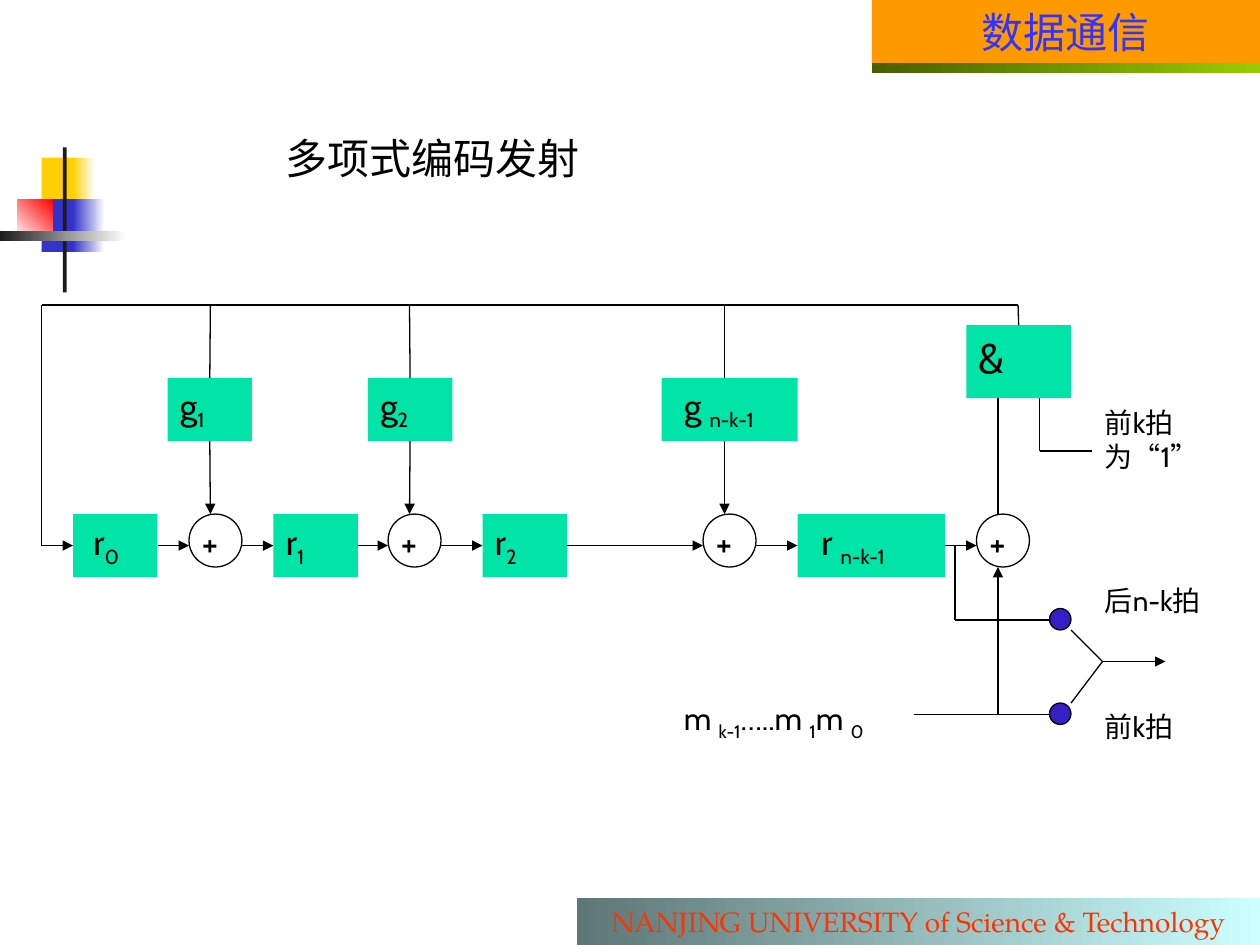
from lxml.etree import SubElement
from pptx import Presentation
from pptx.dml.color import RGBColor as RGB
from pptx.enum.shapes import MSO_CONNECTOR as CONN, MSO_SHAPE as SHAPE
from pptx.enum.text import MSO_ANCHOR as ANCHOR, PP_ALIGN as ALIGN
from pptx.oxml.ns import qn
from pptx.util import Inches, Pt

C = {
    "yellow": "FFCF01", "blue": "3333CC", "red": "FF0000", "dark": "1C1C1C",
    "white": "FFFFFF", "black": "000000", "orange": "FF9900", "title": "3333FF",
    "slate": "5E7676", "ice": "CCFFFF", "footer": "FF3300", "moss": "475E00",
    "lime": "99CC00", "green": "00E4A8", "dot": "3420C4",
}

prs = Presentation()
prs.slide_width, prs.slide_height = Inches(10), Inches(7.5)
s = prs.slides.add_slide(prs.slide_layouts[6])


def add_shape(kind, box, fill, end=None, angle=0, outline=False):
    sp = s.shapes.add_shape(kind, *map(Inches, box))
    sp.shadow.inherit = False
    if end:
        sp.fill.gradient()
        sp.fill.gradient_angle = angle
        for stop, name in zip(sp.fill.gradient_stops, (fill, end)):
            stop.color.rgb = RGB.from_string(C[name])
    else:
        sp.fill.solid()
        sp.fill.fore_color.rgb = RGB.from_string(C[fill])
    if outline:
        sp.line.color.rgb = RGB.from_string(C["black"])
        sp.line.width = Pt(0.75)
    else:
        sp.line.fill.background()
    return sp


def write(sp, runs, size, color="black", font="Cabin", align=ALIGN.LEFT, left=0.1, top=0.05):
    tf = sp.text_frame
    tf.word_wrap = True
    tf.vertical_anchor = ANCHOR.TOP
    tf.margin_left, tf.margin_top = Inches(left), Inches(top)
    tf.margin_right = tf.margin_bottom = 0 if top == 0 else Inches(0.05)
    if align == ALIGN.CENTER:
        tf.margin_right = Inches(left)
    p = tf.paragraphs[0]
    p.alignment = align
    p.font.size, p.font.name = Pt(size), font
    p.font.color.rgb = RGB.from_string(C[color])
    for i, text in enumerate(runs):
        r = p.add_run()
        r.text = text
        if i % 2:
            r.font._element.set("baseline", "-25000")


for box, fill, end, angle in [
    ((0.33, 1.25, 0.29, 0.38), "yellow", None, 0),
    ((0.58, 1.25, 0.17, 0.42), "yellow", "white", 0),
    ((0.33, 1.58, 0.25, 0.42), "blue", None, 0),
    ((0.58, 1.58, 0.25, 0.42), "blue", "white", 0),
    ((0.14, 1.58, 0.28, 0.33), "white", "red", 45),
    ((0.5, 1.17, 0.03, 1.15), "dark", None, 0),
    ((0, 1.83, 1, 0.08), "dark", "white", 0),
    ((6.92, 0.5, 3.08, 0.08), "moss", "lime", 0),
]:
    add_shape(SHAPE.RECTANGLE, box, fill, end, angle)

header = add_shape(SHAPE.RECTANGLE, (6.92, 0, 3.08, 0.5), "orange")
write(header, ["数据通信"], 24, "title", align=ALIGN.CENTER)
footer = add_shape(SHAPE.RECTANGLE, (4.58, 7.13, 5.42, 0.37), "slate", "ice")
write(footer, ["NANJING UNIVERSITY of Science & Technology"], 16, "footer",
      "TeX Gyre Pagella", ALIGN.CENTER)

reg_y, gain_y, bus_y = 4.08, 3, 2.42
mid_y = reg_y + 0.25
blocks = []
for x, y, w, h, runs, size, left in [
    (0.58, reg_y, 0.67, 0.5, [" r", "0"], 20, 0.1),
    (2.17, reg_y, 0.67, 0.5, ["r", "1"], 20, 0.1),
    (3.83, reg_y, 0.67, 0.5, ["r", "2"], 20, 0.1),
    (6.33, reg_y, 1.17, 0.5, ["r ", "n-k-1"], 20, 0.19),
    (1.33, gain_y, 0.67, 0.5, ["g", "1"], 20, 0.1),
    (2.92, gain_y, 0.67, 0.5, ["g", "2"], 20, 0.1),
    (5.25, gain_y, 1.08, 0.5, ["g ", "n-k-1"], 20, 0.18),
    (7.67, 2.58, 0.83, 0.58, ["&"], 24, 0.1),
]:
    sp = add_shape(SHAPE.RECTANGLE, (x, y, w, h), "green")
    write(sp, runs, size, left=left)
    blocks.append(sp)

for x in (1.5, 3.08, 5.58, 7.75):
    adder = add_shape(SHAPE.OVAL, (x, reg_y, 0.42, 0.42), "white", outline=True)
    write(adder, ["+"], 20, left=0.04, top=0)
for y in (4.83, 5.58):
    add_shape(SHAPE.OVAL, (8.33, y, 0.17, 0.17), "dot", outline=True)

arrows = [(a, mid_y, b, mid_y) for a, b in [
    (0.33, 0.58), (1.25, 1.5), (1.92, 2.17), (2.83, 3.08), (3.5, 3.83),
    (4.5, 5.58), (6, 6.33), (7.5, 7.75)]]
arrows += [(7.92, 5.67, 7.92, 4.5), (8.75, 5.25, 9.25, 5.25)]
lines = [
    (7.92, reg_y, 7.92, 3.16), (8.25, 3.58, 8.25, 3.16), (8.25, 3.58, 8.67, 3.58),
    (0.33, mid_y, 0.33, bus_y), (0.33, bus_y, 8.08, bus_y), (8.08, bus_y, 8.08, 2.58),
    (7.58, mid_y, 7.58, 4.92), (7.58, 4.92, 8.33, 4.92), (7.25, 5.67, 8.33, 5.67),
    (8.75, 5.25, 8.5, 5.58), (8.75, 5.25, 8.5, 5),
]
for x in (1.67, 3.25, 5.75):
    lines.append((x, gain_y, x, bus_y))
    arrows.append((x, gain_y + 0.5, x, reg_y))

sites = []
for sp in blocks:
    cx, cy = sp.left + sp.width // 2, sp.top + sp.height // 2
    sides = [(cx, sp.top), (sp.left, cy), (cx, sp.top + sp.height), (sp.left + sp.width, cy)]
    sites += [(sp, i, x, y) for i, (x, y) in enumerate(sides)]

near = Inches(0.015)
for ends in lines + arrows:
    x1, y1, x2, y2 = map(Inches, ends)
    cn = s.shapes.add_connector(CONN.STRAIGHT, x1, y1, x2, y2)
    cn.line.color.rgb = RGB.from_string(C["black"])
    cn.line.width = Pt(0.75)
    if ends in arrows:
        SubElement(cn.line._get_or_add_ln(), qn("a:tailEnd"), type="triangle")
    SubElement(cn._element.spPr, qn("a:effectLst"))
    for sp, i, x, y in sites:
        if abs(x - x1) < near and abs(y - y1) < near:
            cn.begin_connect(sp, i)
        if abs(x - x2) < near and abs(y - y2) < near:
            cn.end_connect(sp, i)

for box, runs, size in [
    ((8.67, 3.17, 0.92, 0.9), ["前k拍为“1”"], 16),
    ((8.67, 4.58, 1.08, 0.37), ["后n-k拍"], 16),
    ((8.67, 5.58, 1, 0.37), ["前k拍"], 16),
    ((5.33, 5.5, 1.92, 0.44), ["m ", "k-1", "…..m ", "1", "m ", "0"], 18),
    ((2.17, 1, 4.08, 0.5), ["多项式编码发射"], 24),
]:
    write(s.shapes.add_textbox(*map(Inches, box)), runs, size)

prs.save("out.pptx")
